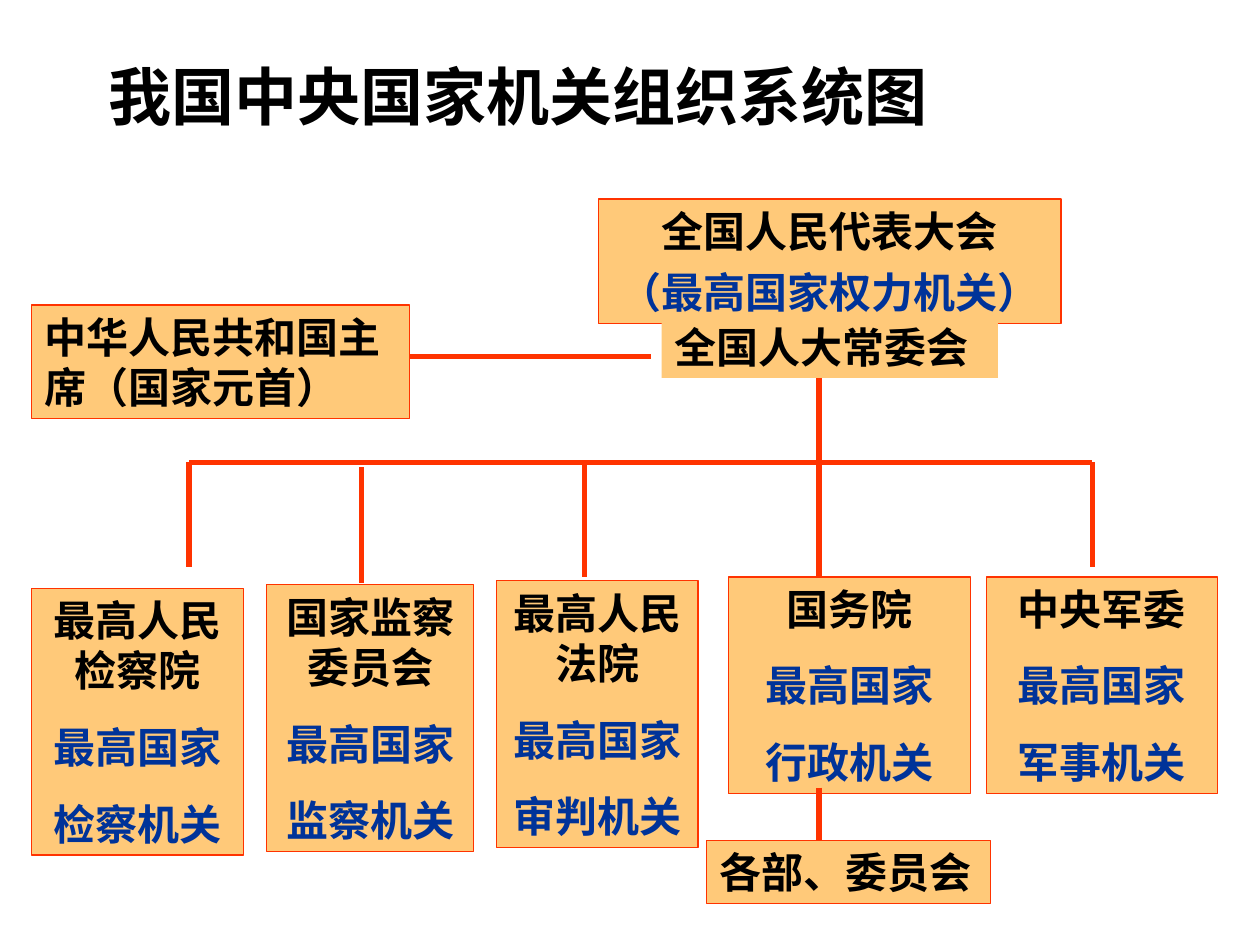
import lxml.etree
import pptx
import pptx.dml.color
import pptx.enum.shapes
import pptx.enum.text
import pptx.oxml.ns
import pptx.util

Cm = pptx.util.Cm
Pt = pptx.util.Pt
ALIGN = pptx.enum.text.PP_ALIGN
BLACK, BLUE, ORANGE, RED = "000000", "003399", "FFC979", "FF3300"


def color(value):
    """Return the colour for a hex string."""
    return pptx.dml.color.RGBColor.from_string(value)


def write(shape, lines, size=24, align=ALIGN.LEFT, gap=0, font="Arial"):
    """Write bold lines, the first black in the given font and the rest blue."""
    frame = shape.text_frame
    frame.text = "\n".join(lines)
    frame.word_wrap = True
    frame.auto_size = pptx.enum.text.MSO_AUTO_SIZE.SHAPE_TO_FIT_TEXT
    frame.vertical_anchor = pptx.enum.text.MSO_ANCHOR.TOP
    for index, paragraph in enumerate(frame.paragraphs):
        paragraph.alignment = align
        paragraph.space_before = Pt(gap if index else 0)
        for run in paragraph.runs:
            run.font.name = "Arial" if index else font
            run.font.size = Pt(size)
            run.font.bold = True
            run.font.color.rgb = color(BLUE if index else BLACK)


def add_box(slide, box, lines, outlined=True, **style):
    """Add an orange box with text."""
    shape = slide.shapes.add_shape(
        pptx.enum.shapes.MSO_SHAPE.RECTANGLE, *map(Cm, box))
    shape.shadow.inherit = False
    shape.fill.solid()
    shape.fill.fore_color.rgb = color(ORANGE)
    if outlined:
        shape.line.color.rgb = color(RED)
        shape.line.width = Pt(0.75)
    else:
        shape.line.fill.background()
    write(shape, lines, **style)


def add_line(slide, *ends):
    """Add a red straight line between two points."""
    line = slide.shapes.add_connector(
        pptx.enum.shapes.MSO_CONNECTOR.STRAIGHT, *map(Cm, ends))
    line.line.color.rgb = color(RED)
    line.line.width = Pt(3)
    properties = line._element.spPr
    lxml.etree.SubElement(properties, pptx.oxml.ns.qn("a:effectLst"))


def add_title(slide, box):
    """Add the slide title."""
    write(slide.shapes.add_textbox(*map(Cm, box)),
          ["我国中央国家机关组织系统图"], size=36)


def add_congress(slide, box):
    """Add the congress, its standing committee and the trunk below."""
    left, top, width, height = box
    add_line(slide, left + 4.44, top + 2.98, left + 4.44, top + height)
    add_box(slide, (left, top, width, 2.51),
            ["全国人民代表大会", "（最高国家权力机关）"],
            align=ALIGN.CENTER, gap=6)
    add_box(slide, (left + 1.27, top + 2.34, 6.78, 1.27),
            ["全国人大常委会"], outlined=False)


def add_president(slide, box):
    """Add the president and the line towards the standing committee."""
    left, top, width, height = box
    add_line(slide, left + 7.41, top + 1.04, left + width, top + 1.04)
    add_box(slide, (left, top, 7.62, height), ["中华人民共和国主席（国家元首）"])


def add_branches(slide, box):
    """Add the crossbar and the five state organs hanging from it."""
    left, top, width, height = box
    add_line(slide, left + 3.17, top, left + 21.38, top)
    organs = [
        ("最高人民检察院", "检察机关", (0, 2.54, 4.27, 5.38), (3.17, 0, 2.11), "Arial"),
        ("国家监察委员会", "监察机关", (4.74, 2.47, 4.17, 5.38), (6.65, 0.1, 2.44),
         "Times New Roman"),
        ("最高人民法院", "审判机关", (9.37, 2.39, 4.06, 5.38), (11.15, 0, 2.31), "Arial"),
        ("国务院", "行政机关", (14.04, 2.31, 4.88, 4.37), (15.87, 0, 2.31), "Arial"),
        ("中央军委", "军事机关", (19.25, 2.31, 4.65, 4.37), (21.38, 0, 2.11), "Arial"),
    ]
    for name, role, (x, y, organ_width, organ_height), (drop, start, end), font in organs:
        add_line(slide, left + drop, top + start, left + drop, top + end)
        add_box(slide, (left + x, top + y, organ_width, organ_height),
                [name, "最高国家", role], align=ALIGN.CENTER, gap=15, font=font)


def add_ministries(slide, box):
    """Add the ministries and the line from the state council."""
    left, top, width, height = box
    add_line(slide, left + 2.26, top, left + 2.26, top + 1.06)
    add_box(slide, (left, top + 1.06, width, height - 1.06), ["各部、委员会"])


def main():
    """Build and save the presentation."""
    presentation = pptx.Presentation()
    presentation.slide_width = Cm(25.4)
    presentation.slide_height = Cm(19.05)
    slide = presentation.slides.add_slide(presentation.slide_layouts[6])
    add_title(slide, (1.93, 1.04, 17.27, 1.78))
    add_congress(slide, (12.07, 4.01, 9.32, 5.31))
    add_president(slide, (0.64, 6.15, 12.49, 2.29))
    add_branches(slide, (0.64, 9.32, 23.9, 7.92))
    add_ministries(slide, (14.25, 15.88, 5.72, 2.33))
    presentation.save("out.pptx")


if __name__ == "__main__":
    main()
